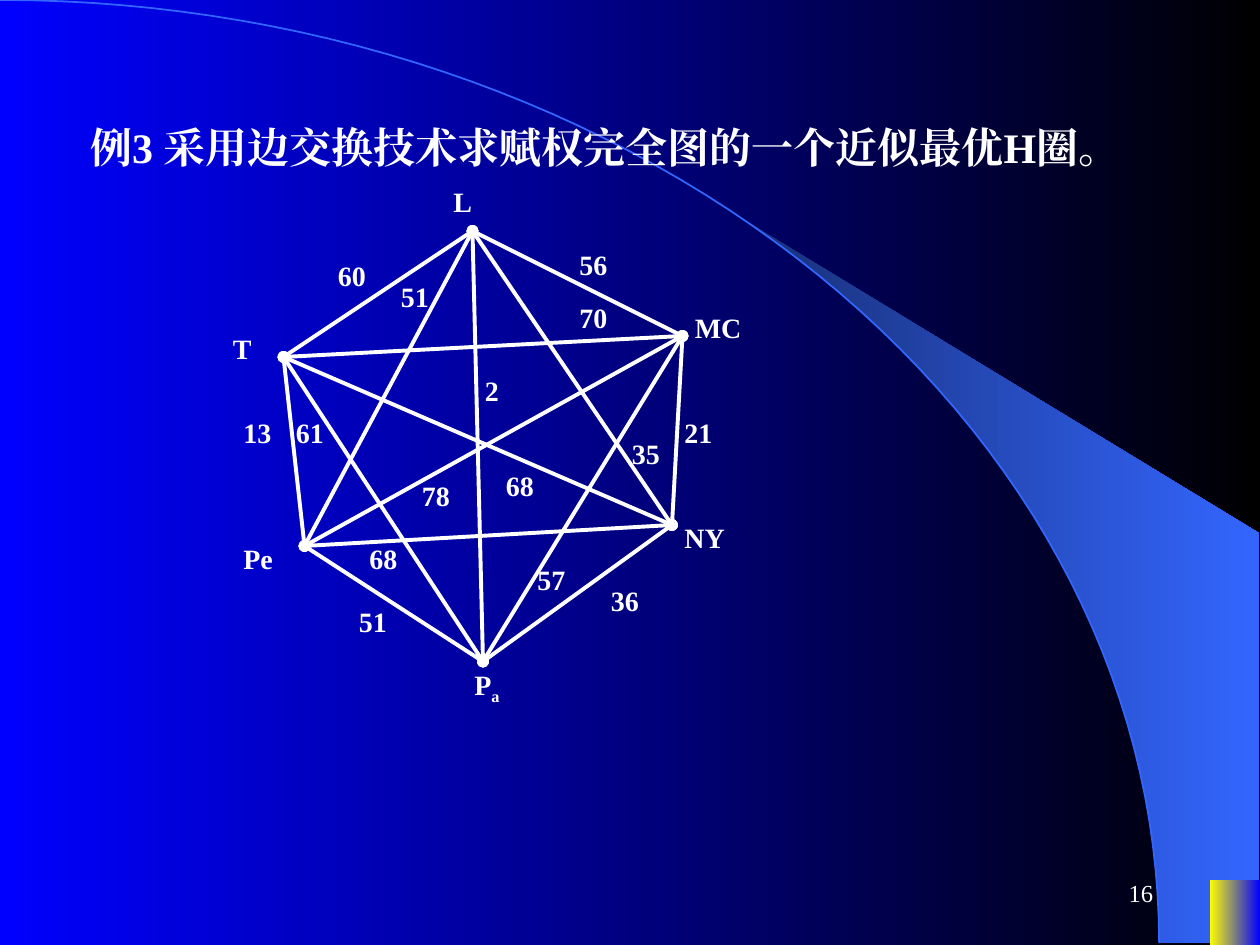
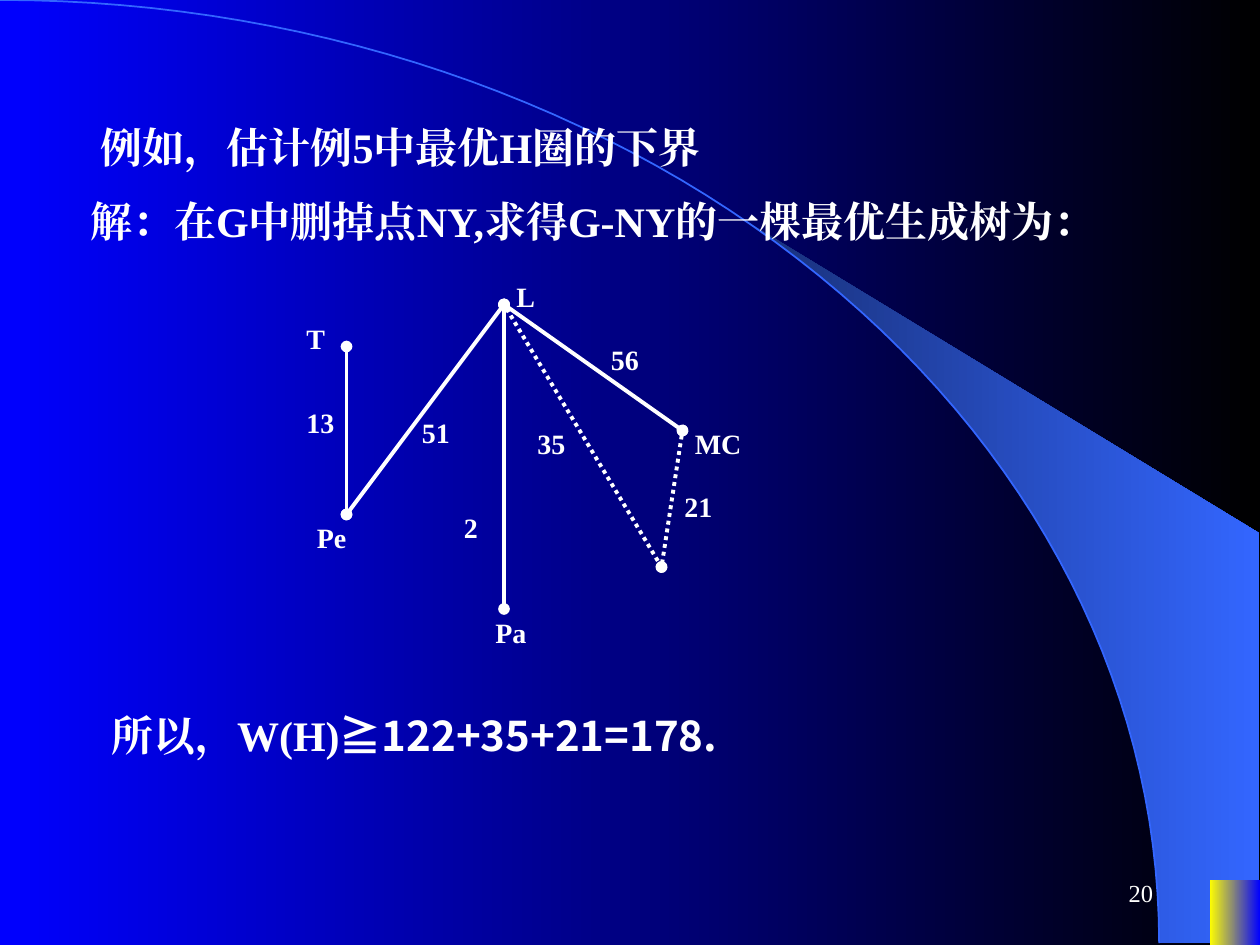
import itertools
import math
from dataclasses import dataclass

import pptx
import pptx.util
import pptx.dml.color
import pptx.enum.dml
import pptx.enum.shapes
import pptx.enum.text
import pptx.oxml
import pptx.oxml.ns

CELL = pptx.util.Inches(1) // 12  # the slide is a grid of 120 x 90 cells
COLS, ROWS = 120, 90


@dataclass(frozen=True)
class Theme:
    ink: str = "FFFFFF"
    arc: str = "3366FF"
    back: tuple = ("0000FF", "000000")
    band: tuple = ("182F76", "3366FF")
    chip: tuple = ("FFFF00", "0000FF")
    font: str = "Times New Roman"
    sans: str = "Noto Sans CJK SC"
    head: int = 24
    label: int = 16
    page: int = 14


THEME = Theme()


def grid(*cells):
    return [round(cell * CELL) for cell in cells]


def rgb(code):
    return pptx.dml.color.RGBColor.from_string(code)


def blend(fill, pair):
    """Fill from left to right with a pair of colours."""
    fill.gradient()
    fill.gradient_angle = 0
    for stop, code in zip(fill.gradient_stops, pair):
        stop.color.rgb = rgb(code)


def east(font, name):
    """Set the East Asian face after the Latin one."""
    node = pptx.oxml.ns.qn("a:ea")
    font._rPr.find(pptx.oxml.ns.qn("a:latin")).addnext(
        font._rPr.makeelement(node, {"typeface": name}))


# Text

def write(slide, col, row, wide, high, text, size, bold=True):
    box = slide.shapes.add_textbox(*grid(col, row, wide, high))
    box.text_frame.word_wrap = True
    para = box.text_frame.paragraphs[0]
    para.add_run().text = text
    font = para.font
    font.size, font.bold = pptx.util.Pt(size), bold
    font.color.rgb = rgb(THEME.ink)
    font.name = THEME.font
    east(font, THEME.font)
    return box.text_frame


def state(slide, col, row, wide, text, high=6):
    """Write a statement with an indented first line."""
    frame = write(slide, col, row, wide, high, text, THEME.head)
    para = frame.paragraphs[0]
    para._p.get_or_add_pPr().set("indent", str(pptx.util.Inches(0.45)))
    return para


def label(slide, col, row, text, wide=6.25):
    return write(slide, col, row, wide, 4.4, text, THEME.label).paragraphs[0]


# Graph

def edge(slide, start, end, dots=False):
    line = slide.shapes.add_connector(
        pptx.enum.shapes.MSO_CONNECTOR.STRAIGHT, *grid(*start, *end))
    line.line.color.rgb = rgb(THEME.ink)
    line.line.width = pptx.util.Pt(2.25)
    if dots:
        line.line.dash_style = pptx.enum.dml.MSO_LINE.ROUND_DOT
    props = line._element.spPr
    stroke = props.find(pptx.oxml.ns.qn("a:ln"))
    for tip in ("a:headEnd", "a:tailEnd"):
        stroke.append(stroke.makeelement(pptx.oxml.ns.qn(tip), {"type": "oval"}))
    props.append(props.makeelement(pptx.oxml.ns.qn("a:effectLst"), {}))


def mark(slide, names, costs):
    for text, col, row in costs:
        label(slide, col, row, text)
    for text, col, row in names:
        label(slide, col, row, text, wide=10)


# Shared backdrop

def curve(angle, steps=60):
    """Points of the big ellipse, from an angle down to its right end."""
    wide, high = 0.92 * COLS, 0.998 * ROWS
    turns = [math.radians(angle * (1 - n / steps)) for n in range(steps + 1)]
    return [(wide * math.cos(t), high * (1 - math.sin(t))) for t in turns]


def trace(slide, points, close):
    path = [tuple(grid(*point)) for point in points]
    pen = slide.shapes.build_freeform(*path[0])
    pen.add_line_segments(path[1:], close=close)
    shape = pen.convert_to_shape()
    shape.shadow.inherit = False
    return shape


def dress(slide, page):
    right, foot = 0.999 * COLS, 0.998 * ROWS
    band = trace(slide, curve(50.2) + [(right, foot), (right, 0.564 * ROWS)], True)
    blend(band.fill, THEME.band)
    band.line.fill.background()

    arc = trace(slide, curve(90), False)
    arc.fill.background()
    arc.line.color.rgb = rgb(THEME.arc)
    arc.line.width = pptx.util.Pt(1)

    chip = slide.shapes.add_shape(
        pptx.enum.shapes.MSO_SHAPE.RECTANGLE,
        *grid(0.96 * COLS, 0.931 * ROWS, 0.04 * COLS, 0.069 * ROWS))
    chip.shadow.inherit = False
    blend(chip.fill, THEME.chip)
    chip.line.fill.background()

    frame = write(slide, 86, 82, 25, 6, page, THEME.page, bold=False)
    frame.vertical_anchor = pptx.enum.text.MSO_ANCHOR.MIDDLE
    frame.paragraphs[0].alignment = pptx.enum.text.PP_ALIGN.RIGHT


# Slides

def show_graph(slide):
    state(slide, 2, 11, 111, "例3 采用边交换技术求赋权完全图的一个近似最优H圈。")
    towns = [(45, 22), (27, 34), (65, 32), (29, 52), (64, 50), (46, 63)]
    for start, end in itertools.combinations(towns, 2):
        edge(slide, start, end)
    mark(slide,
         [("T", 21, 31), ("Pe", 22, 51), ("NY", 64, 49), ("MC", 65, 29),
          ("L", 42, 17)],
         [("13", 22, 39), ("2", 45, 35), ("21", 64, 39), ("70", 54, 28),
          ("56", 54, 23), ("51", 37, 26), ("60", 31, 24), ("78", 39, 45),
          ("35", 59, 41), ("36", 57, 55), ("51", 33, 57), ("68", 47, 44),
          ("57", 50, 53), ("68", 34, 51), ("61", 27, 39)])
    sub = label(slide, 44, 63, "P", wide=10).add_run()
    sub.text = "a"
    sub._r.get_or_add_rPr().set("baseline", "-25000")


def show_bound(slide):
    state(slide, 3, 11, 104, "例如，估计例5中最优H圈的下界")
    state(slide, 2, 18, 104, "解：在G中删掉点NY,求得G-NY的一棵最优生成树为：", high=10.8)
    town = {"T": (33, 33), "Pe": (33, 49), "L": (48, 29), "Pa": (48, 58),
            "MC": (65, 41), "NY": (63, 54)}
    for start, end in (("T", "Pe"), ("Pe", "L"), ("L", "Pa"), ("L", "MC")):
        edge(slide, town[start], town[end])
    for start in ("MC", "L"):
        edge(slide, town[start], town["NY"], dots=True)
    mark(slide,
         [("MC", 65, 40), ("Pa", 46, 58), ("L", 48, 26), ("Pe", 29, 49),
          ("T", 28, 30)],
         [("51", 39, 39), ("13", 28, 38), ("56", 57, 32), ("2", 43, 48),
          ("35", 50, 40), ("21", 64, 46)])
    sum_run = state(slide, 4, 67, 104, "所以，W(H)").add_run()
    sum_run.text = "≧122+35+21=178."
    sum_run.font.name = THEME.sans
    east(sum_run.font, THEME.sans)


def main():
    deck = pptx.Presentation()
    deck.slide_width, deck.slide_height = grid(COLS, ROWS)
    blend(deck.slide_master.background.fill, THEME.back)
    for page, show in (("16", show_graph), ("20", show_bound)):
        slide = deck.slides.add_slide(deck.slide_layouts[6])
        dress(slide, page)
        show(slide)
    deck.save("out.pptx")


if __name__ == "__main__":
    main()
